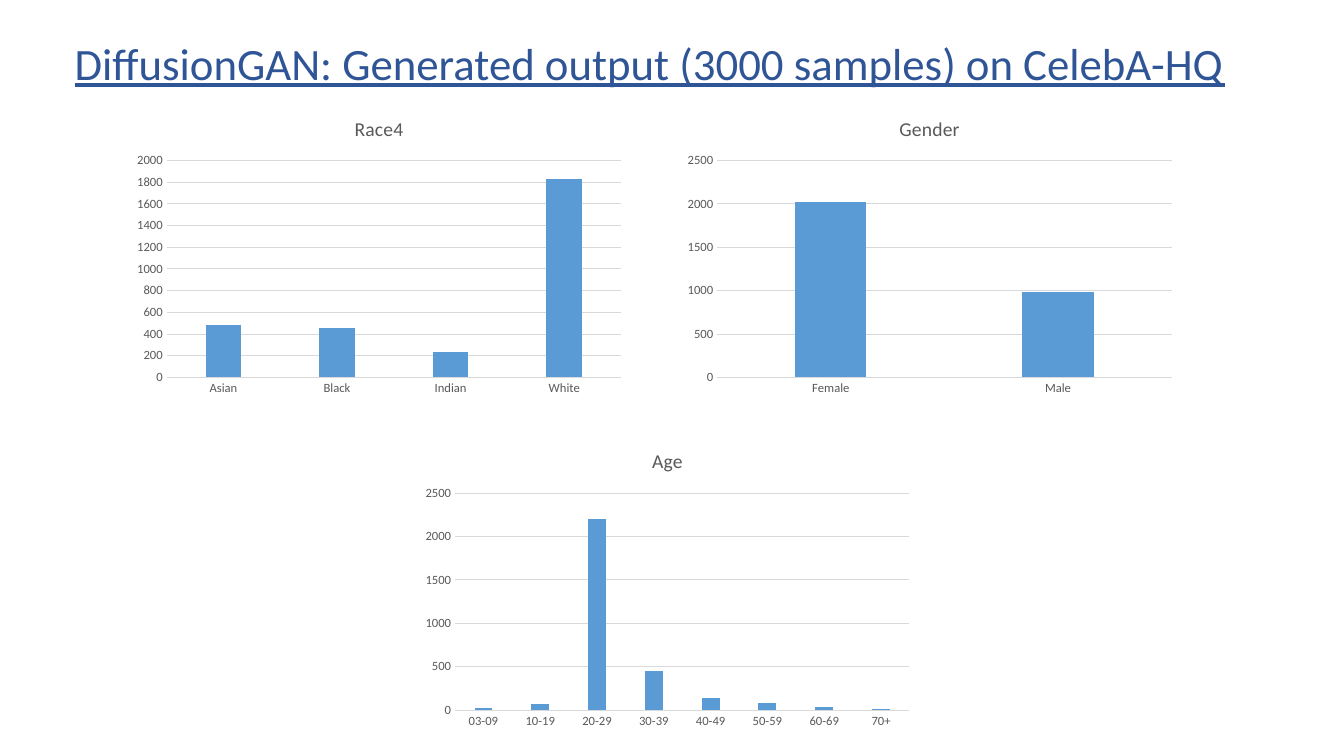
from pptx import Presentation
from pptx.chart.data import CategoryChartData
from pptx.dml.color import RGBColor
from pptx.enum.chart import XL_CHART_TYPE, XL_TICK_MARK
from pptx.enum.text import MSO_ANCHOR, PP_ALIGN
from pptx.util import Inches, Pt

COLUMN = XL_CHART_TYPE.COLUMN_CLUSTERED
NO_TICK = XL_TICK_MARK.NONE
MIDDLE = MSO_ANCHOR.MIDDLE
LEFT = PP_ALIGN.LEFT

NAVY = RGBColor(0x2F, 0x55, 0x97)
BLUE = RGBColor(0x5B, 0x9B, 0xD5)
GREY = RGBColor(0x59, 0x59, 0x59)
PALE = RGBColor(0xD9, 0xD9, 0xD9)
FONT = "Calibri"

WIDE, HIGH = 5, 3
TOP, LOW = 0.99, 4.29

# left, top, name, axis top, axis step, counts
CHARTS = [
    (1.26, TOP, "Race4", 2000, 200,
     {"Asian": 480, "Black": 460, "Indian": 230, "White": 1830}),
    (6.72, TOP, "Gender", 2500, 500, {"Female": 2020, "Male": 980}),
    (4.12, LOW, "Age", 2500, 500,
     {"03-09": 20, "10-19": 70, "20-29": 2200, "30-39": 450,
      "40-49": 140, "50-59": 80, "60-69": 30, "70+": 10}),
]


def set_font(font, size, color):
    font.name = FONT
    font.size = Pt(size)
    font.bold = False
    font.color.rgb = color


def set_line(line):
    line.color.rgb = PALE
    line.width = Pt(0.75)


def add_title(slide, text, left, top, width, height):
    title = slide.shapes.title
    title.left, title.top = Inches(left), Inches(top)
    title.width, title.height = Inches(width), Inches(height)
    frame = title.text_frame
    frame.word_wrap = True
    frame.vertical_anchor = MIDDLE
    para = frame.paragraphs[0]
    para.alignment = LEFT
    run = para.add_run()
    run.text = text
    set_font(run.font, 32, NAVY)
    run.font.underline = True


def style_axes(chart, peak, step):
    for axis in (chart.category_axis, chart.value_axis):
        axis.major_tick_mark = axis.minor_tick_mark = NO_TICK
        set_font(axis.tick_labels.font, 9, GREY)
    set_line(chart.category_axis.format.line)
    value = chart.value_axis
    value.minimum_scale, value.maximum_scale = 0, peak
    value.major_unit = step
    value.format.line.fill.background()
    set_line(value.major_gridlines.format.line)


def add_bars(slide, left, top, name, peak, step, counts):
    data = CategoryChartData()
    data.categories = list(counts)
    data.add_series("Series 1", list(counts.values()))
    chart = slide.shapes.add_chart(
        COLUMN, Inches(left), Inches(top), Inches(WIDE), Inches(HIGH), data
    ).chart
    chart.font.name = FONT
    chart.font.size = Pt(10)
    chart.has_legend = False
    chart.has_title = True
    run = chart.chart_title.text_frame.paragraphs[0].add_run()
    run.text = name
    set_font(run.font, 14, GREY)
    chart.chart_title.include_in_layout = False
    style_axes(chart, peak, step)
    plot = chart.plots[0]
    plot.gap_width, plot.overlap = 219, -27
    plot.vary_by_categories = False
    fill = plot.series[0].format.fill
    fill.solid()
    fill.fore_color.rgb = BLUE


def main():
    deck = Presentation()
    deck.slide_width, deck.slide_height = Inches(13.33), Inches(7.5)
    slide = deck.slides.add_slide(deck.slide_layouts[5])
    add_title(
        slide, "DiffusionGAN: Generated output (3000 samples) on CelebA-HQ",
        0.64, 0.3, 11.97, 0.64)
    for item in CHARTS:
        add_bars(slide, *item)
    deck.save("out.pptx")


if __name__ == "__main__":
    main()
